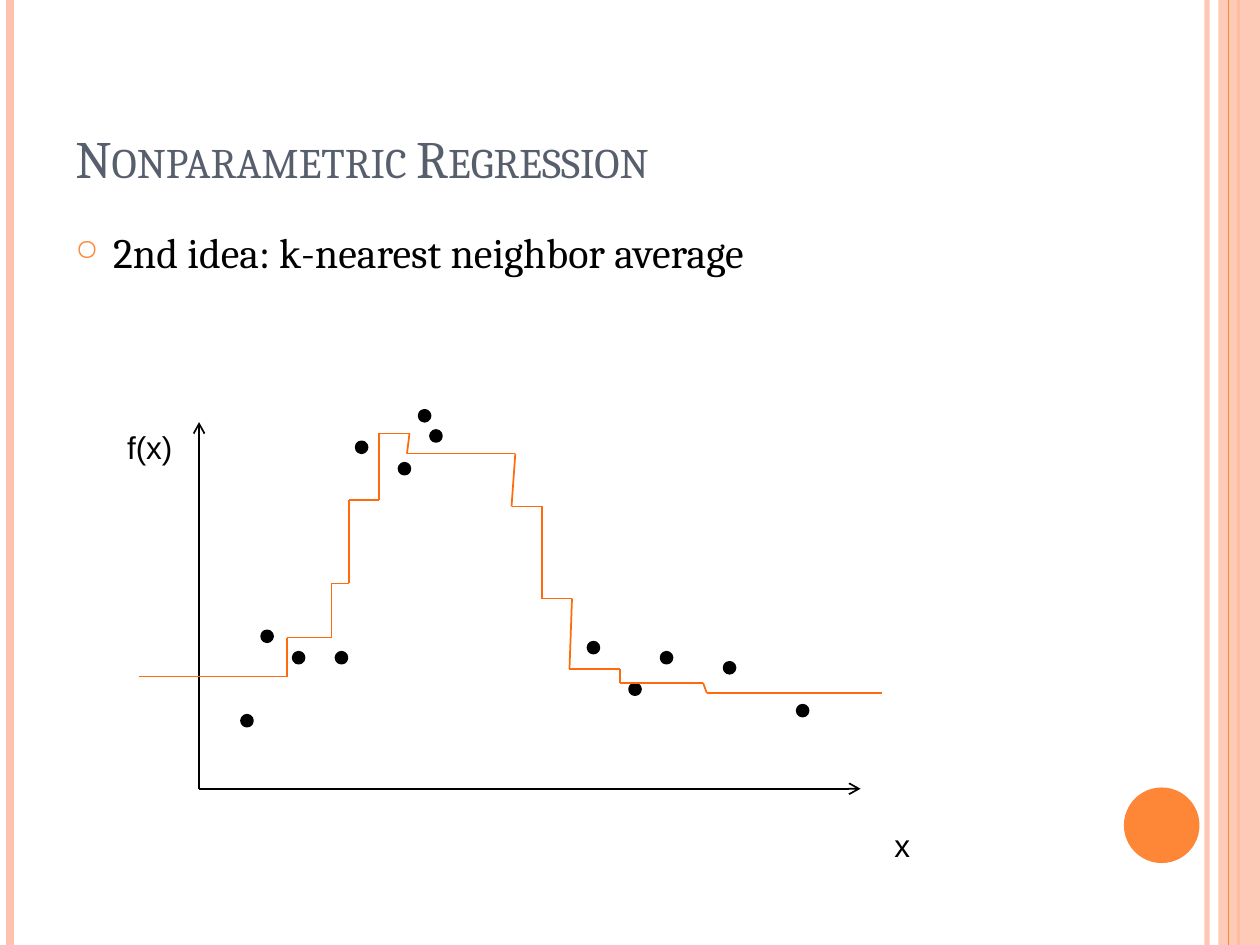
"""Builds a slide on k-nearest neighbor regression with a hand-drawn step plot."""
from lxml import etree
from pptx import Presentation
from pptx.dml.color import RGBColor
from pptx.enum.shapes import MSO_CONNECTOR, MSO_SHAPE
from pptx.enum.text import MSO_ANCHOR
from pptx.oxml.ns import qn
from pptx.util import Pt

STRAIGHT = MSO_CONNECTOR.STRAIGHT
RECTANGLE, OVAL = MSO_SHAPE.RECTANGLE, MSO_SHAPE.OVAL
TOP, BOTTOM = MSO_ANCHOR.TOP, MSO_ANCHOR.BOTTOM
PX = 9144
WIDTH, HEIGHT = 1000, 750
PEACH, ORANGE, STEP_ORANGE = "FEC3AE", "FE8637", "FF6B0A"
BLACK, SLATE = "000000", "575F6D"

presentation = Presentation()
presentation.slide_width, presentation.slide_height = WIDTH * PX, HEIGHT * PX
slide = presentation.slides.add_slide(presentation.slide_layouts[6])
color = RGBColor.from_string


def add_line(start, end, line_color, points, arrow=False, opacity=100):
    ends = [value * PX for value in (*start, *end)]
    connector = slide.shapes.add_connector(STRAIGHT, *ends)
    connector.line.color.rgb = color(line_color)
    connector.line.width = Pt(points)
    properties = connector._element.spPr
    if opacity < 100:
        fill = properties.find(".//" + qn("a:srgbClr"))
        etree.SubElement(fill, qn("a:alpha"), val=str(opacity * 1000))
    if arrow:
        etree.SubElement(connector.line._get_or_add_ln(), qn("a:tailEnd"), type="arrow")
    etree.SubElement(properties, qn("a:effectLst"))


def add_filled(kind, box, fill_color):
    shape = slide.shapes.add_shape(kind, *[value * PX for value in box])
    shape.shadow.inherit = False
    shape.fill.solid()
    shape.fill.fore_color.rgb = color(fill_color)
    shape.line.fill.background()
    return shape


for x, line_color, points, opacity in [
    (958, PEACH, 3, 93), (8, PEACH, 4.5, 100), (983, ORANGE, 1.5, 100),
]:
    add_line((x, 0), (x, HEIGHT), line_color, points, opacity=opacity)
band = add_filled(RECTANGLE, (967, 0, 33, HEIGHT), PEACH)
band_color = band._element.spPr.find(".//" + qn("a:srgbClr"))
etree.SubElement(band_color, qn("a:alpha"), val="87000")
add_line((975, 0), (975, HEIGHT), ORANGE, 0.75)
add_filled(OVAL, (892, 625, 60, 60), ORANGE)

paragraphs = {}
for text, box, size, font_name, font_color, anchor, wrap in [
    ("Nonparametric Regression", (50, 30, 817, 125), 30, "Cambria", SLATE, BOTTOM, True),
    ("2nd idea: k-nearest neighbor average", (50, 175, 817, 533), 24, "Cambria", BLACK, TOP, True),
    ("x", (700, 651, 33, 40), 18, "Arial", BLACK, TOP, False),
    ("f(x)", (91, 335, 75, 40), 18, "Arial", BLACK, TOP, False),
]:
    frame = slide.shapes.add_textbox(*[value * PX for value in box]).text_frame
    frame.word_wrap = wrap
    frame.vertical_anchor = anchor
    paragraph = frame.paragraphs[0]
    paragraph.add_run().text = text
    if text.startswith("2nd"):
        properties = paragraph._p.get_or_add_pPr()
        properties.set("marL", str(30 * PX))
        properties.set("indent", str(-30 * PX))
        bullet_color = etree.SubElement(properties, qn("a:buClr"))
        etree.SubElement(bullet_color, qn("a:srgbClr"), val=ORANGE)
        etree.SubElement(properties, qn("a:buSzPct"), val="70000")
        etree.SubElement(properties, qn("a:buChar"), char="○")
    paragraph.font.size = Pt(size)
    paragraph.font.name = font_name
    paragraph.font.color.rgb = color(font_color)
    paragraphs[text] = paragraph
title_run = paragraphs["Nonparametric Regression"].runs[0]
title_run._r.get_or_add_rPr().set("cap", "small")

origin = (158, 626)
for axis_end in [(683, 626), (158, 335)]:
    add_line(origin, axis_end, BLACK, 1, arrow=True)

for left, top in [
    (192, 568), (208, 501), (233, 518), (267, 518), (283, 351), (317, 368), (333, 326),
    (342, 342), (467, 510), (500, 543), (525, 518), (575, 526), (633, 560),
]:
    dot = add_filled(OVAL, (left, top, 8, 8), BLACK)
    dot.line.color.rgb = color(BLACK)
    dot.line.width = Pt(2)

steps = [
    (110, 228, 537), (228, 263, 506), (263, 277, 463), (277, 301, 397),
    (301, 325, 344), (323, 409, 360), (406, 430, 402), (430, 454, 475),
    (452, 492, 531), (492, 558, 542), (561, 700, 550),
]
for left, right, y in steps:
    add_line((left, y), (right, y), STEP_ORANGE, 1)
for (_, right, y), (next_left, _, next_y) in zip(steps, steps[1:]):
    add_line((right, y), (next_left, next_y), STEP_ORANGE, 1)

presentation.save("out.pptx")
